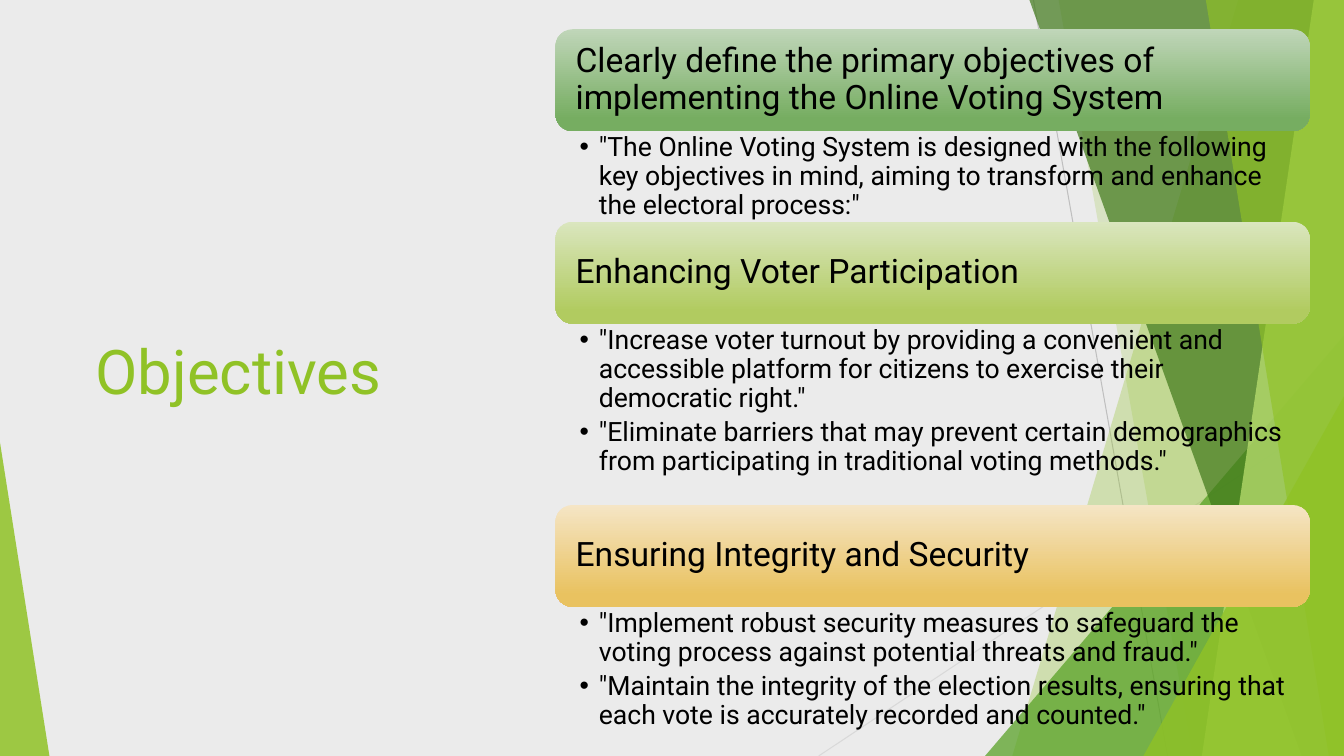
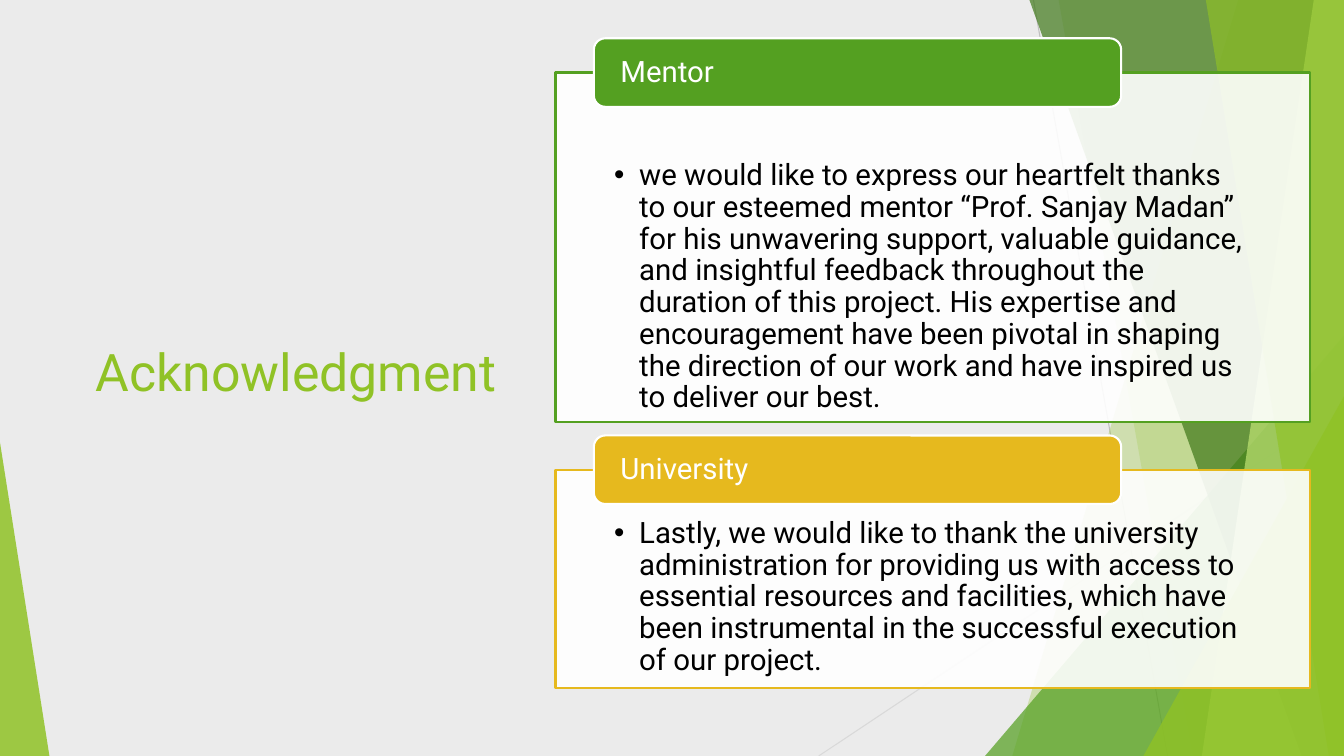
from lxml.etree import SubElement
from pptx import Presentation
from pptx.dml.color import RGBColor
from pptx.enum.shapes import MSO_CONNECTOR, MSO_SHAPE as SHAPE
from pptx.enum.text import MSO_ANCHOR as ANCHOR, PP_ALIGN
from pptx.oxml.ns import qn
from pptx.util import Pt

PX = 9144  # 100 px to the inch
WIDTH, HEIGHT = 1333, 750
FONT = "Roboto"
LIME, GREEN, GOLD = "90C226", "54A021", "E6B91E"
BLACK, WHITE = "000000", "FFFFFF"
LEFT, CONTENT_W = 551, 748


def paint(fill, *colours, alpha=100):
    """One colour fills solid; two colours make a gradient from top to bottom."""
    rgbs = [RGBColor.from_string(c) for c in colours]
    if len(rgbs) == 2:
        fill.gradient()
        fill.gradient_angle = 270
        for stop, rgb, position in zip(fill.gradient_stops, rgbs, (0, 0.88)):
            stop.color.rgb, stop.position = rgb, position
        return
    fill.solid()
    fill.fore_color.rgb = rgbs[0]
    if alpha < 100:
        clr = fill._xPr.find(qn("a:solidFill")).find(qn("a:srgbClr"))
        SubElement(clr, qn("a:alpha"), val=str(alpha * 1000))


def write(s, texts, size, colour, insets, anchor=ANCHOR.MIDDLE, hang=0, after=0):
    """Fill a shape with paragraphs; a hang in px turns them into bullets."""
    tf = s.text_frame
    left, top, right, bottom = (v * PX for v in insets)
    frame = {"word_wrap": True, "vertical_anchor": anchor, "margin_left": left,
             "margin_top": top, "margin_right": right, "margin_bottom": bottom}
    for name, value in frame.items():
        setattr(tf, name, value)
    for i, text in enumerate(texts):
        p = tf.paragraphs[0] if i == 0 else tf.add_paragraph()
        layout = {"alignment": PP_ALIGN.LEFT, "line_spacing": 0.9, "space_after": Pt(after)}
        for name, value in layout.items():
            setattr(p, name, value)
        r = p.add_run()
        r.text = text
        r.font.name, r.font.size = FONT, Pt(size)
        paint(r.font.fill, colour)
        if hang:
            pPr = p._p.get_or_add_pPr()
            pPr.set("marL", str(hang * PX))
            pPr.set("indent", str(-hang * PX))
            SubElement(pPr, qn("a:buFont"), typeface="Arial")
            SubElement(pPr, qn("a:buChar"), char="•")


prs = Presentation()
prs.slide_width, prs.slide_height = WIDTH * PX, HEIGHT * PX
paint(prs.slide_master.background.fill, "EBEBEB")

# Shared decoration: hairlines, then facets from back to front
hairlines = [((1025, 0, 1158, HEIGHT), "BFBFBF"), ((WIDTH, 403, 812, HEIGHT), "D9D9D9")]
# Bands reach the right edge: (top left x, bottom left x)
# Triangles stand on the bottom edge: (left, top, width, apex)
facets = [
    ("band", (1228, 1004), LIME, 30),
    ("band", (1050, 1183), LIME, 20),
    ("triangle", (977, 333, 356, 1), GREEN, 72),
    ("band", (1021, 1291), "3F7819", 70),
    ("band", (1303, 1192), "C0E474", 70),
    ("band", (1196, 1318), LIME, 65),
    ("triangle", (1134, 393, 199, 1), LIME, 80),
    ("triangle", (0, 439, 49, 0), LIME, 85),
]

slides = []
for title, size in (("Objectives", 44), ("Acknowledgment", 37)):
    slide = prs.slides.add_slide(prs.slide_layouts[6])
    slides.append(slide)
    sp = slide.shapes
    for ends, colour in hairlines:
        s = sp.add_connector(MSO_CONNECTOR.STRAIGHT, *(v * PX for v in ends))
        s.line.width = Pt(0.75)
        paint(s.line.fill, colour)
        SubElement(s._element.spPr, qn("a:effectLst"))
    for kind, geometry, colour, alpha in facets:
        if kind == "band":
            top_x, bottom_x = geometry
            outline = sp.build_freeform(top_x, 0, scale=PX)
            outline.add_line_segments([(WIDTH, 0), (WIDTH, HEIGHT), (bottom_x, HEIGHT)])
            s = outline.convert_to_shape()
        else:
            x, y, w, apex = geometry
            s = sp.add_shape(SHAPE.ISOSCELES_TRIANGLE, x * PX, y * PX, w * PX, (HEIGHT - y) * PX)
            s.adjustments[0] = apex
        s.shadow.inherit = False
        s.line.fill.background()
        paint(s.fill, colour, alpha=alpha)
    s = sp.add_textbox(85 * PX, 54 * PX, 432 * PX, 636 * PX)
    write(s, [title], size, LIME, (10, 5, 10, 5))

# Objectives: gradient headings with bullets below
HEADING_H = 101
objectives = [
    (29, 90, ("C0D6B9", "76AD61"),
     "Clearly define the primary objectives of implementing the Online Voting System",
     ['"The Online Voting System is designed with the following key objectives in mind, '
      'aiming to transform and enhance the electoral process:"']),
    (220, 179, ("DAE6BE", "B1CB60"),
     "Enhancing Voter Participation",
     ['"Increase voter turnout by providing a convenient and accessible platform for '
      'citizens to exercise their democratic right."',
      '"Eliminate barriers that may prevent certain demographics from participating in '
      'traditional voting methods."']),
    (501, 125, ("F5E5C5", "E9C260"),
     "Ensuring Integrity and Security",
     ['"Implement robust security measures to safeguard the voting process against '
      'potential threats and fraud."',
      '"Maintain the integrity of the election results, ensuring that each vote is '
      'accurately recorded and counted."']),
]
sp = slides[0].shapes
for y, body_h, gradient, heading, bullets in objectives:
    s = sp.add_shape(SHAPE.ROUNDED_RECTANGLE, LEFT * PX, y * PX, CONTENT_W * PX, HEADING_H * PX)
    s.shadow.inherit = False
    s.line.fill.background()
    paint(s.fill, *gradient)
    write(s, [heading], 24, BLACK, (15, 10, 15, 10))
    s = sp.add_textbox(LEFT * PX, (y + HEADING_H) * PX, CONTENT_W * PX, body_h * PX)
    write(s, bullets, 19, BLACK, (24, 3, 19, 3), ANCHOR.TOP, hang=19, after=4)

# Acknowledgment: outlined panels, each with a tab over its top edge
TAB_X, TAB_W, TAB_H = 589, 523, 68
thanks = [
    (72, 347, 87, GREEN, "Mentor",
     "we would like to express our heartfelt thanks to our esteemed mentor “Prof. Sanjay "
     "Madan” for his unwavering support, valuable guidance, and insightful feedback "
     "throughout the duration of this project. His expertise and encouragement have been "
     "pivotal in shaping the direction of our work and have inspired us to deliver our best."),
    (466, 217, 48, GOLD, "University",
     "Lastly, we would like to thank the university administration for providing us with "
     "access to essential resources and facilities, which have been instrumental in the "
     "successful execution of our project."),
]
sp = slides[1].shapes
for y, h, inset_top, colour, label, text in thanks:
    panel = sp.add_shape(SHAPE.RECTANGLE, LEFT * PX, y * PX, CONTENT_W * PX, h * PX)
    paint(panel.fill, WHITE, alpha=90)
    paint(panel.line.fill, colour)
    write(panel, [text], 21, BLACK, (58, inset_top, 58, 0), ANCHOR.TOP, hang=25)
    tab = sp.add_shape(SHAPE.ROUNDED_RECTANGLE, TAB_X * PX, (y - TAB_H // 2) * PX,
                       TAB_W * PX, TAB_H * PX)
    paint(tab.fill, colour)
    paint(tab.line.fill, WHITE)
    write(tab, [label], 21, WHITE, (23, 0, 23, 0))
    for s in (panel, tab):
        s.line.width = Pt(1.5)
        s.shadow.inherit = False

prs.save("out.pptx")
